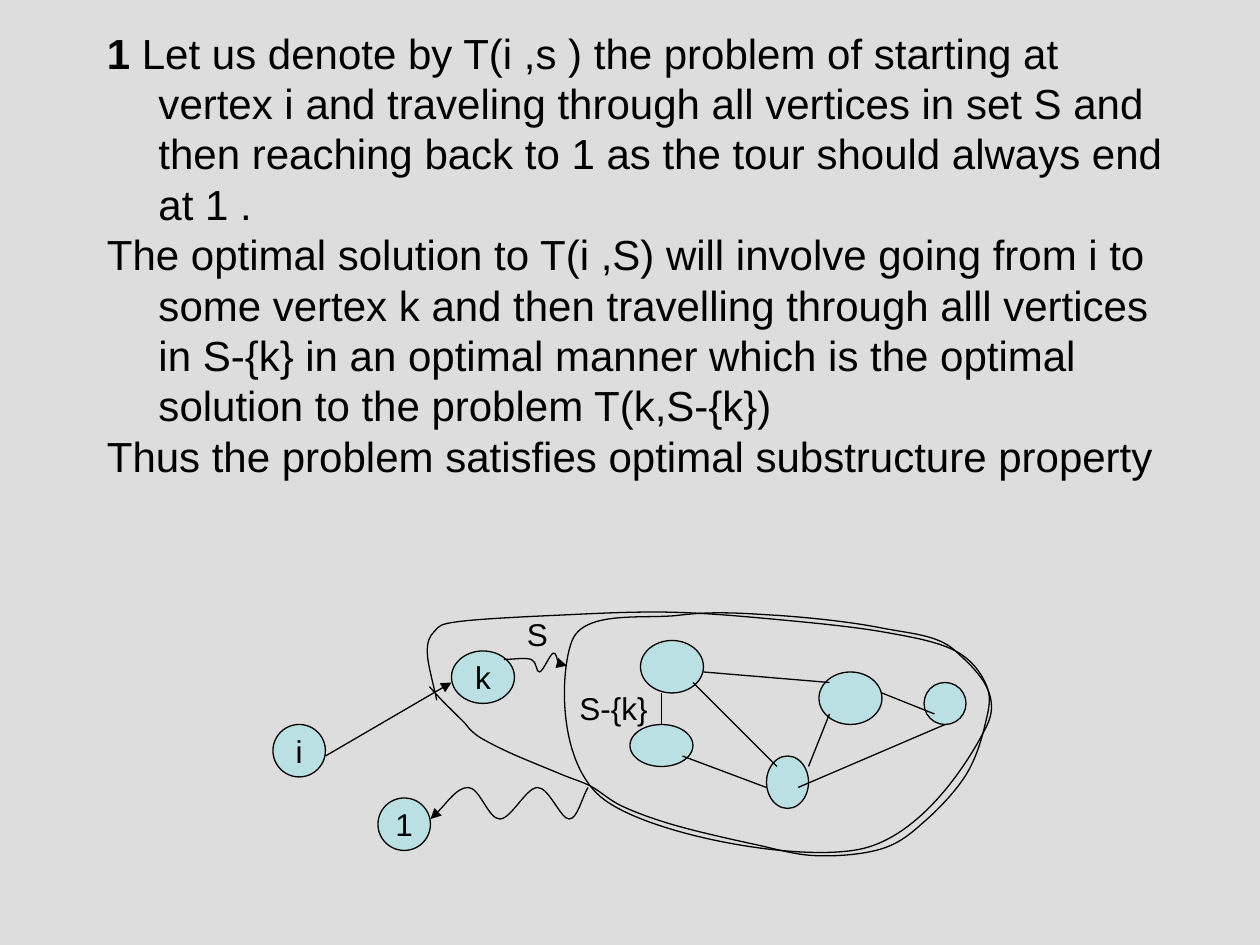
from dataclasses import dataclass
from itertools import cycle

from pptx import Presentation
from pptx import util as u
from pptx.dml.color import RGBColor
from pptx.enum import shapes, text
from pptx.oxml import ns
from pptx.oxml.xmlchemy import OxmlElement

GRID = u.Cm(2.54) / 12
HANGING = u.Cm(1.04)


@dataclass(frozen=True)
class Theme:
    """Colours, font and type sizes of the slide."""
    backdrop: RGBColor = RGBColor(0xDD, 0xDD, 0xDD)
    vertex: RGBColor = RGBColor(0xBB, 0xE0, 0xE3)
    ink: RGBColor = RGBColor(0, 0, 0)
    font: str = "Arial"
    body: u.Pt = u.Pt(24)
    label: u.Pt = u.Pt(18)
    stroke: u.Pt = u.Pt(0.75)


THEME = Theme()

STATEMENT = [
    [("1 ", True),
     ("Let us denote by T(i ,s ) the problem of starting at vertex i and traveling "
      "through all vertices in set S and then reaching back to 1 as the tour should "
      "always end at 1 .", False)],
    [("The optimal solution to T(i ,S) will involve going from i to some vertex k and "
      "then travelling through alll vertices in S-{k} in an optimal manner which is the "
      "optimal solution to the problem T(k,S-{k})", False)],
    [("Thus the problem satisfies optimal substructure property", False)],
]

NAMED_VERTICES = {"i": (26, 69, 5, 5), "k": (43, 62, 6, 5), "1": (36, 76, 5, 5)}
INNER_VERTICES = {
    "upper": (61, 61, 6, 5), "lower": (60, 69, 6, 4), "base": (73, 72, 4, 5),
    "right": (78, 64, 6, 5), "far": (88, 65, 4, 4),
}
VERTICES = {**NAMED_VERTICES, **INNER_VERTICES}

FIRST_STEP = (("i", 5, 3), ("k", 0, 3))
INNER_EDGES = [
    (("upper", 6, 3), ("right", 1, 1)),
    (("upper", 2, 5), ("lower", 3, 0)),
    (("upper", 5, 4), ("base", 1, 1)),
    (("lower", 5, 3), ("base", 0, 3)),
    (("right", 1, 4), ("base", 4, 1)),
    (("right", 6, 2), ("far", 1, 3)),
    (("far", 2, 4), ("base", 3, 3)),
]

REMAINING_SET = {
    "left": [(54.5, 61), (57.6, 76.2)],
    "bottom": [(81.8, 80.9)],
    "right": [(94, 69.1), (91, 62)],
    "top": [(83.9, 59.8), (73.8, 58.6), (64.7, 58.6), (54.5, 61)],
}
WHOLE_SET = {
    "notch": [(40.9, 65.4), (42.1, 66.7), (43.6, 68.2), (44.3, 68.9), (44.9, 69.6)],
    "lower left": [(46, 70.4), (48.8, 71.8), (53.6, 73.8), (56.3, 74.9), (59.3, 76.8)],
    "bottom": [(64.3, 78.6), (71.8, 80.4), (77.8, 81.5), (84.1, 80.8)],
    "right": [(88.2, 78.1), (92, 73.8), (93.8, 69.1), (94, 65.4), (91, 62)],
    "top": [(84.2, 60.2), (74, 59), (63.6, 58.3), (53, 58.6), (43.7, 59.2)],
    "left": [(41.4, 60.1), (40.7, 62.2), (41.6, 66.7)],
}


def joined(sides):
    """Chain the sides of a set into one list of points."""
    return [point for side in sides.values() for point in side]


def zigzag(columns, *levels):
    """Pair the turning columns of a wave with its alternating levels."""
    return list(zip(columns, cycle(levels)))


def spline_bends(points, closed):
    """Yield two controls and an end for each bend, a sixth of the neighbours' span."""
    def mirrored(end, neighbour):
        return tuple(2 * a - b for a, b in zip(end, neighbour))

    before = points[-2] if closed else mirrored(points[0], points[1])
    after = points[1] if closed else mirrored(points[-1], points[-2])
    chain = [before, *points, after]
    for previous, start, end, following in zip(chain, chain[1:], chain[2:], chain[3:]):
        yield tuple(s + (e - p) / 6 for p, s, e in zip(previous, start, end))
        yield tuple(e - (f - s) / 6 for s, e, f in zip(start, end, following))
        yield end


def on_grid(*cells):
    """Convert grid cells to lengths."""
    return [u.Emu(round(cell * GRID)) for cell in cells]


def anchor(name, across, down):
    """Locate a point by its offset from a vertex's corner."""
    left, top, _, _ = VERTICES[name]
    return left + across, top + down


def add_run(paragraph, words, size, bold=False):
    """Append one formatted run."""
    run = paragraph.add_run()
    run.text = words
    run.font.name, run.font.size, run.font.bold = THEME.font, size, bold
    run.font.color.rgb = THEME.ink


def ink_line(stroke, arrow=None):
    """Style a line and put an arrowhead at its headEnd or tailEnd."""
    stroke.line.color.rgb = THEME.ink
    stroke.line.width = THEME.stroke
    if arrow:
        tip = OxmlElement(f"a:{arrow}")
        tip.set("type", "triangle")
        stroke.line._get_or_add_ln().append(tip)


def add_text_frame(parent, box):
    """Add a wrapping text box that fits its text."""
    frame = parent.add_textbox(*on_grid(*box)).text_frame
    frame.word_wrap = True
    frame.auto_size = text.MSO_AUTO_SIZE.SHAPE_TO_FIT_TEXT
    return frame


def add_statement(parent):
    """Write the hanging paragraphs above the diagram."""
    frame = add_text_frame(parent, (9, 2, 105, 44.4))
    for index, runs in enumerate(STATEMENT):
        paragraph = frame.add_paragraph() if index else frame.paragraphs[0]
        indents = paragraph._p.get_or_add_pPr()
        indents.set("marL", str(HANGING))
        indents.set("indent", str(-HANGING))
        for words, bold in runs:
            add_run(paragraph, words, THEME.body, bold)


def add_label(parent, box, words):
    """Name a set in the diagram."""
    paragraph = add_text_frame(parent, box).paragraphs[0]
    paragraph.space_before = u.Pt(11.2)
    add_run(paragraph, words, THEME.label)


def add_vertex(parent, box, name=""):
    """Draw a vertex with its optional name."""
    vertex = parent.add_shape(shapes.MSO_SHAPE.OVAL, *on_grid(*box))
    vertex.shadow.inherit = False
    vertex.fill.solid()
    vertex.fill.fore_color.rgb = THEME.vertex
    ink_line(vertex)
    if name:
        frame = vertex.text_frame
        frame.word_wrap = False
        frame.vertical_anchor = text.MSO_ANCHOR.MIDDLE
        frame.paragraphs[0].alignment = text.PP_ALIGN.CENTER
        add_run(frame.paragraphs[0], name, THEME.label)


def add_edge(parent, start, end, arrow=None):
    """Join two vertices with a straight line."""
    ends = on_grid(*anchor(*start), *anchor(*end))
    edge = parent.add_connector(shapes.MSO_CONNECTOR.STRAIGHT, *ends)
    ink_line(edge, arrow)
    edge._element.spPr.append(OxmlElement("a:effectLst"))


def add_curve(parent, points, arrow=None, closed=False):
    """Draw a smooth unfilled curve through the points."""
    builder = parent.build_freeform(*on_grid(*points[0]))
    bends = [on_grid(*point) for point in spline_bends(points, closed)]
    builder.add_line_segments(bends, close=closed)
    curve = builder.convert_to_shape()
    curve.shadow.inherit = False
    curve.fill.background()
    ink_line(curve, arrow)
    steps = list(curve._element.iter(ns.qn("a:lnTo")))
    for first in range(0, len(steps), 3):
        bend = OxmlElement("a:cubicBezTo")
        steps[first].addprevious(bend)
        for step in steps[first:first + 3]:
            bend.append(step[0])
            step.getparent().remove(step)


def main():
    """Build and save the slide."""
    deck = Presentation()
    deck.slide_width, deck.slide_height = u.Cm(25.4), u.Cm(19.05)
    slide = deck.slides.add_slide(deck.slide_layouts[6])
    slide.background.fill.solid()
    slide.background.fill.fore_color.rgb = THEME.backdrop

    add_statement(slide.shapes)
    diagram = slide.shapes.add_group_shape().shapes
    for name, box in NAMED_VERTICES.items():
        add_vertex(diagram, box, name)
    for box in INNER_VERTICES.values():
        add_vertex(diagram, box)
    add_edge(diagram, *FIRST_STEP, arrow="tailEnd")
    for start, end in INNER_EDGES:
        add_edge(diagram, start, end)
    add_curve(diagram, joined(REMAINING_SET), closed=True)
    step_into_set = zigzag([50.6, 51.4, 52.7, 53.3], 62.8, 64, 62.2, 63.4)
    add_curve(diagram, [(48, 62.8), *step_into_set, (54, 63.4)], arrow="tailEnd")
    way_home = zigzag([41, 44.6, 47.6, 51.2, 54.2, 56], 78, 75)
    add_curve(diagram, way_home, arrow="headEnd")
    add_label(diagram, (49, 58, 7, 4.8), "S")
    add_label(diagram, (54, 65, 17, 4.8), "S-{k}")
    add_curve(diagram, joined(WHOLE_SET))
    deck.save("out.pptx")


if __name__ == "__main__":
    main()
